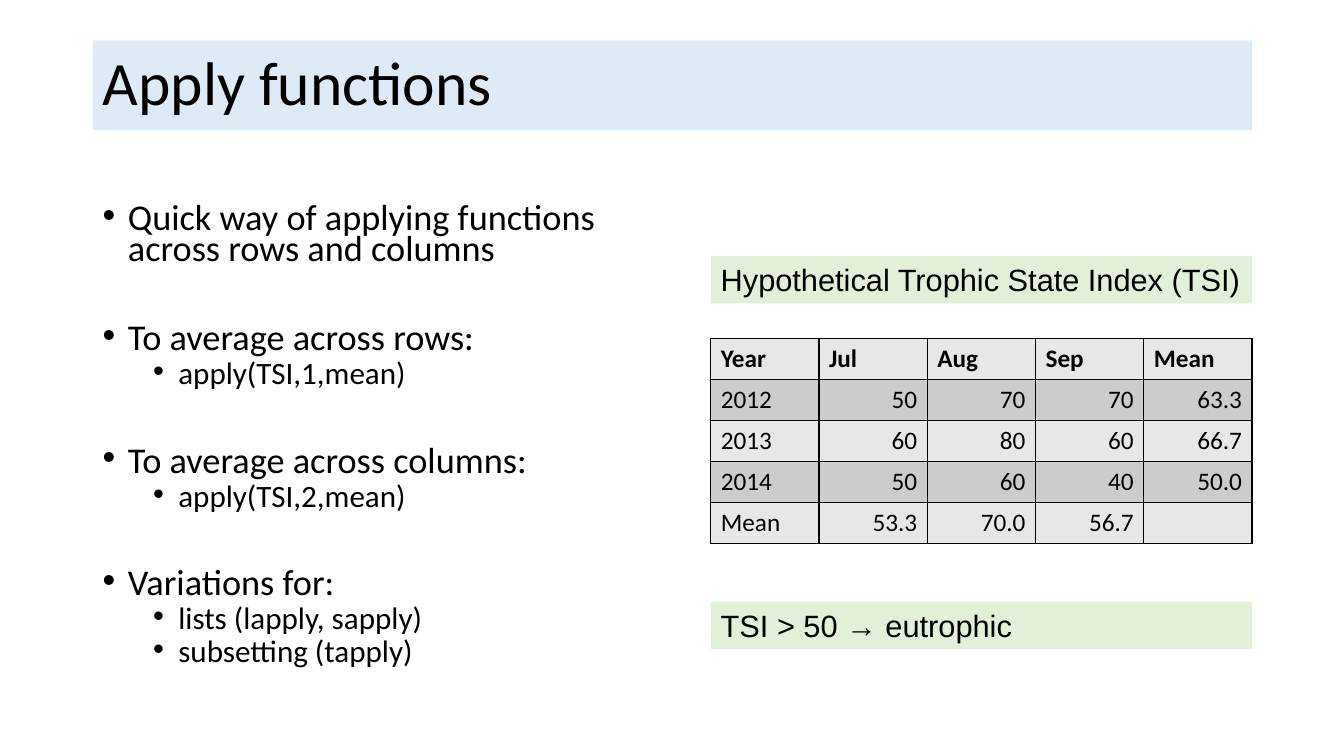
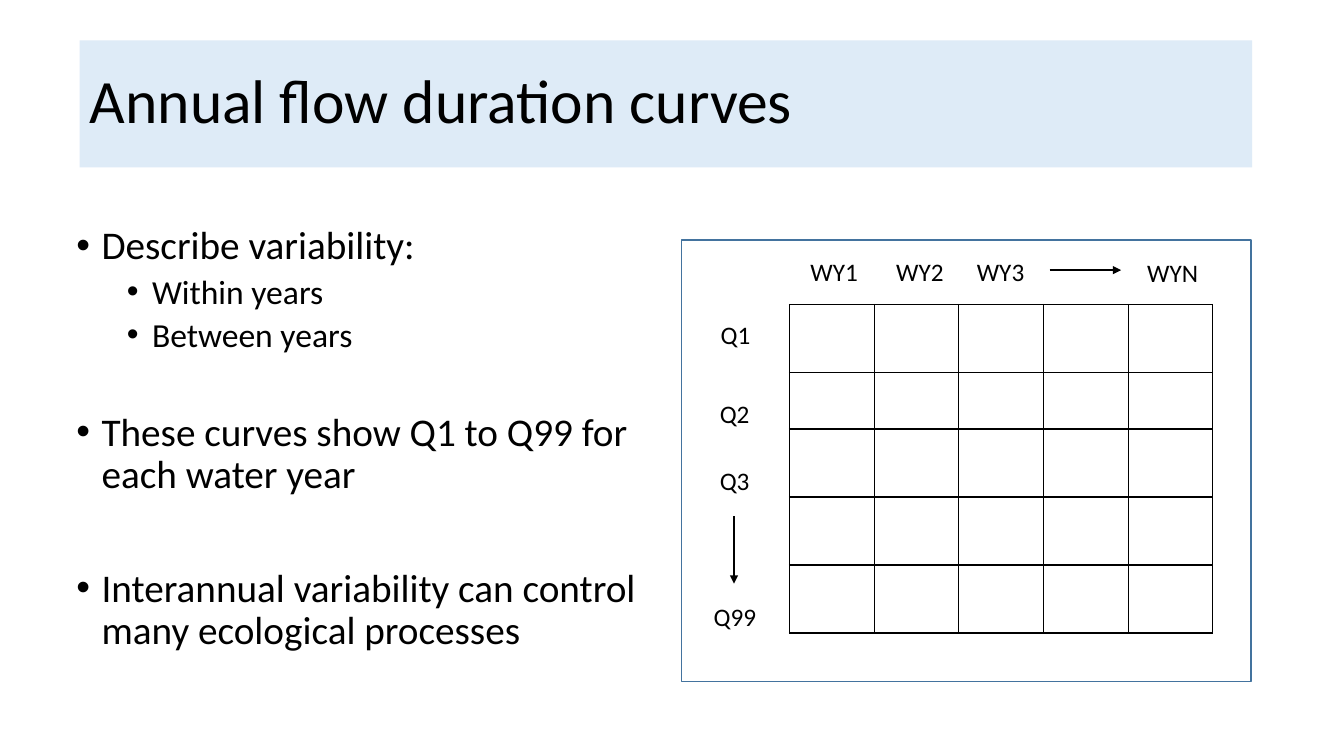
from pptx import Presentation
from pptx.dml.color import RGBColor
from pptx.enum import shapes, text
from pptx.oxml import parse_xml
from pptx.oxml.ns import nsdecls, qn
from pptx.util import Inches, Pt

BLACK = RGBColor(0, 0, 0)
WHITE = RGBColor(255, 255, 255)
TITLE_BLUE = RGBColor(0xDE, 0xEB, 0xF7)
NOTE_GREEN = RGBColor(0xE2, 0xF0, 0xD9)
FRAME_BLUE = RGBColor(0x43, 0x73, 0x9E)
ROW_LIGHT = RGBColor(0xE7, 0xE7, 0xE7)
ROW_DARK = RGBColor(0xCC, 0xCC, 0xCC)
BODY_FONT, NOTE_FONT = "Calibri", "Arial"
RIGHT_EDGE, TITLE_TOP = 12.42, 0.4

# Content: bullets are (level, space before in points, text)
APPLY_BULLETS = [
    (0, 10, "Quick way of applying functions across rows and columns"),
    (0, 42, "To average across rows:"),
    (1, 5, "apply(TSI,1,mean)"),
    (0, 42, "To average across columns:"),
    (1, 5, "apply(TSI,2,mean)"),
    (0, 42, "Variations for:"),
    (1, 5, "lists (lapply, sapply)"),
    (1, 5, "subsetting (tapply)"),
]
TSI_ROWS = [
    ("Year", "Jul", "Aug", "Sep", "Mean"),
    ("2012", "50", "70", "70", "63.3"),
    ("2013", "60", "80", "60", "66.7"),
    ("2014", "50", "60", "40", "50.0"),
    ("Mean", "53.3", "70.0", "56.7", ""),
]
TSI_NOTES = [(2.54, "Hypothetical Trophic State Index (TSI)"),
             (5.97, "TSI > 50 → eutrophic")]
CURVE_BULLETS = [
    (0, 10, "Describe variability:"),
    (1, 5, "Within years"),
    (1, 5, "Between years"),
    (0, 41.4, "These curves show Q1 to Q99 for each water year"),
    (0, 50.8, "Interannual variability can control many ecological processes"),
]
# Grid labels: (left, top, text)
GRID_LABELS = [
    (7.05, 3.12, "Q1"), (7.04, 3.9, "Q2"), (7.04, 4.57, "Q3"), (6.98, 5.92, "Q99"),
    (7.94, 2.49, "WY1"), (8.79, 2.49, "WY2"), (9.59, 2.49, "WY3"), (11.28, 2.5, "WYN"),
]
GRID_ARROWS = [(7.28, 5.12, 7.28, 5.79), (10.41, 2.68, 11.12, 2.68)]
GRID_ROW_SHARES = (6, 5, 6, 6, 6)


def inches(*lengths):
    return [Inches(length) for length in lengths]


def add_run(paragraph, words, size, font=BODY_FONT, bold=False):
    run = paragraph.add_run()
    run.text = words
    run.font.size = Pt(size)
    run.font.name = font
    run.font.bold = bold
    run.font.color.rgb = BLACK


def add_titled_slide(presentation, title, left, height):
    slide = presentation.slides.add_slide(presentation.slide_layouts[5])
    shape = slide.shapes.title
    shape.left, shape.top, shape.width, shape.height = inches(
        left, TITLE_TOP, RIGHT_EDGE - left, height)
    shape.fill.solid()
    shape.fill.fore_color.rgb = TITLE_BLUE
    frame = shape.text_frame
    frame.auto_size = text.MSO_AUTO_SIZE.NONE
    frame.vertical_anchor = text.MSO_ANCHOR.MIDDLE
    paragraph = frame.paragraphs[0]
    paragraph.alignment = text.PP_ALIGN.LEFT
    paragraph.line_spacing = 0.9
    add_run(paragraph, title, 44)
    return slide


def add_text_box(slide, *box):
    frame = slide.shapes.add_textbox(*inches(*box)).text_frame
    frame.word_wrap = True
    return frame


def add_bullets(slide, box, bullets, sizes, line_spacing):
    frame = add_text_box(slide, *box)
    for index, (level, space, words) in enumerate(bullets):
        paragraph = frame.add_paragraph() if index else frame.paragraphs[0]
        paragraph.level = level
        paragraph.line_spacing = line_spacing
        paragraph.space_before = Pt(space)
        properties = paragraph._p.get_or_add_pPr()
        properties.set("marL", str(Inches(0.25 + 0.5 * level)))
        properties.set("indent", str(Inches(-0.25)))
        properties.append(parse_xml(f'<a:buFont {nsdecls("a")} typeface="Arial"/>'))
        properties.append(parse_xml(f'<a:buChar {nsdecls("a")} char="•"/>'))
        add_run(paragraph, words, sizes[level])


def add_rectangle(slide, box, fill, line=None):
    shape = slide.shapes.add_shape(shapes.MSO_SHAPE.RECTANGLE, *inches(*box))
    shape.shadow.inherit = False
    shape.fill.solid()
    shape.fill.fore_color.rgb = fill
    if line is None:
        shape.line.fill.background()
    else:
        shape.line.color.rgb = line
        shape.line.width = Pt(1)
    return shape


def add_bordered_table(slide, box, columns, row_shares):
    table = slide.shapes.add_table(len(row_shares), columns, *inches(*box)).table
    table.first_row = table.horz_banding = False
    for column in table.columns:
        column.width = Inches(box[2] / columns)
    for row, share in zip(table.rows, row_shares):
        row.height = Inches(box[3] * share / sum(row_shares))
    for cell in table.iter_cells():
        for side in "LRTB":
            cell._tc.get_or_add_tcPr().append(parse_xml(
                f'<a:ln{side} {nsdecls("a")} w="{Pt(1)}"><a:solidFill>'
                f'<a:srgbClr val="{BLACK}"/></a:solidFill></a:ln{side}>'))
        cell.fill.background()
    return table


def add_arrow(slide, *ends):
    arrow = slide.shapes.add_connector(shapes.MSO_CONNECTOR.STRAIGHT, *inches(*ends))
    arrow.line.color.rgb = BLACK
    arrow.line.width = Pt(1.5)
    arrow.line._get_or_add_ln().append(
        parse_xml(f'<a:tailEnd {nsdecls("a")} type="triangle"/>'))
    arrow._element.find(qn("p:spPr")).append(
        parse_xml(f'<a:effectLst {nsdecls("a")}/>'))


def build_apply_slide(presentation):
    slide = add_titled_slide(presentation, "Apply functions", 0.92, 0.89)
    add_bullets(slide, (0.92, 2, 5.48, 4.76), APPLY_BULLETS, (25.9, 22.2), 0.7)

    # Index table
    left, width = 7.05, 5.37
    table = add_bordered_table(slide, (left, 3.36, width, 2.03),
                               len(TSI_ROWS[0]), [1] * len(TSI_ROWS))
    for row, values in enumerate(TSI_ROWS):
        for column, value in enumerate(values):
            cell = table.cell(row, column)
            cell.fill.solid()
            cell.fill.fore_color.rgb = ROW_DARK if row % 2 else ROW_LIGHT
            if value:
                paragraph = cell.text_frame.paragraphs[0]
                if row and column:
                    paragraph.alignment = text.PP_ALIGN.RIGHT
                add_run(paragraph, value, 18, bold=row == 0)

    # Green notes above and below the table
    for top, words in TSI_NOTES:
        frame = add_rectangle(slide, (left, top, width, 0.47), NOTE_GREEN).text_frame
        frame.word_wrap = True
        frame.vertical_anchor = text.MSO_ANCHOR.TOP
        frame.paragraphs[0].alignment = text.PP_ALIGN.LEFT
        add_run(frame.paragraphs[0], words, 22, NOTE_FONT)


def build_curves_slide(presentation):
    slide = add_titled_slide(presentation, "Annual flow duration curves", 0.79, 1.26)

    # Framed grid of flow quantiles by water year
    add_rectangle(slide, (6.76, 2.38, 5.65, 4.38), WHITE, FRAME_BLUE)
    add_bordered_table(slide, (7.83, 3.02, 4.2, 3.26), 5, GRID_ROW_SHARES)
    for left, top, words in GRID_LABELS:
        frame = add_text_box(slide, left, top, 0.85, 0.4)
        add_run(frame.paragraphs[0], words, 18)
    for ends in GRID_ARROWS:
        add_arrow(slide, *ends)

    add_bullets(slide, (0.66, 2.19, 6.23, 4.76), CURVE_BULLETS, (28, 24), 0.9)


def main():
    presentation = Presentation()
    presentation.slide_width, presentation.slide_height = inches(13.33, 7.5)
    build_apply_slide(presentation)
    build_curves_slide(presentation)
    presentation.save("out.pptx")


if __name__ == "__main__":
    main()
